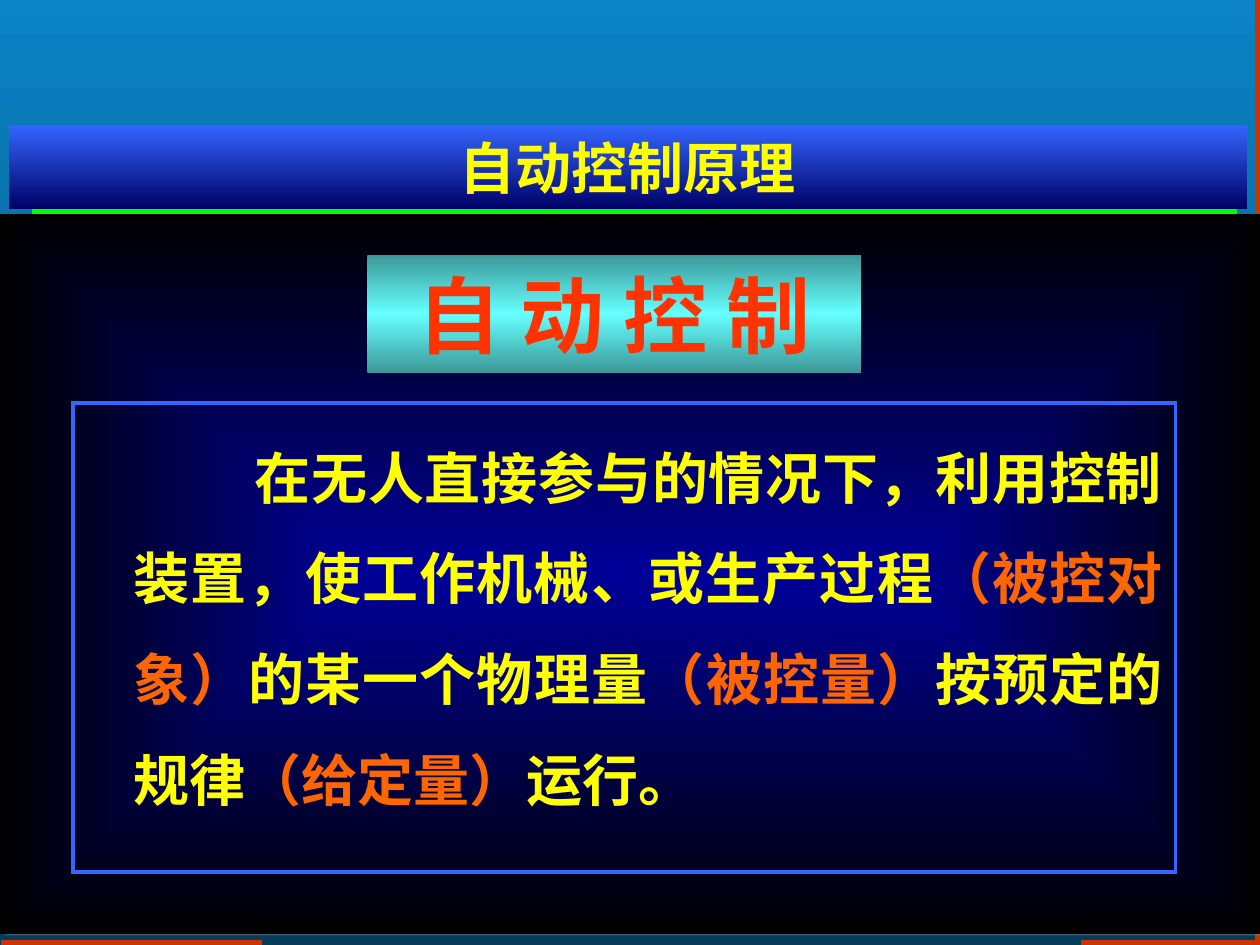
from lxml import etree
from pptx import Presentation
from pptx import util as u
from pptx.dml.color import RGBColor
from pptx.enum import shapes, text
from pptx.oxml.ns import qn

THEME = {
    "sky": ["0B83C5", "053C5A"], "night": ["000099", "000000"],
    "banner": ["3366FF", "000066"], "plate": ["3C9898", "66FFFF", "3C9898"],
    "edge": "CC3300", "rule": "00FF00", "frame": "3366FF", "shadow": "808080",
    "heading": "FF3300", "text": "FFFF00", "accent": "FF6600",
    "heading_size": u.Pt(48), "text_size": u.Pt(32),
    "latin": "Times New Roman", "cjk": "Noto Sans CJK JP",
}

presentation = Presentation()
presentation.slide_width, presentation.slide_height = u.Inches(10), u.Inches(7.5)
COLUMN = presentation.slide_width // 100
ROW = presentation.slide_height // 75
slide = presentation.slides.add_slide(presentation.slide_layouts[1])


def paint_gradient(fill, owner, colors, from_center=False):
    """Spread colours evenly, downwards or outwards from the centre."""
    fill.gradient()
    gradient = next(owner.iter(qn("a:gradFill")))
    for child in list(gradient):
        gradient.remove(child)
    stops = etree.SubElement(gradient, qn("a:gsLst"))
    for index, color in enumerate(colors):
        position = 100000 * index // (len(colors) - 1)
        stop = etree.SubElement(stops, qn("a:gs"), pos=str(position))
        etree.SubElement(stop, qn("a:srgbClr"), val=color)
    if from_center:
        path = etree.SubElement(gradient, qn("a:path"), path="rect")
        etree.SubElement(path, qn("a:fillToRect"), l="50000", t="50000", r="50000", b="50000")
    else:
        etree.SubElement(gradient, qn("a:lin"), ang="5400000", scaled="0")


def format_box(shape, box, anchor, alignment, size, font, color):
    """Place a text shape on the grid and set its single paragraph."""
    left, top, width, height = box
    shape.left, shape.top = int(left * COLUMN), int(top * ROW)
    shape.width, shape.height = int(width * COLUMN), int(height * ROW)
    frame = shape.text_frame
    frame.word_wrap = True
    frame.auto_size = text.MSO_AUTO_SIZE.NONE
    frame.vertical_anchor = anchor
    paragraph = frame.paragraphs[0]
    paragraph.alignment = alignment
    paragraph.space_before = u.Pt(0)
    paragraph.font.size, paragraph.font.name, paragraph.font.bold = size, font, True
    paragraph.font.color.rgb = RGBColor.from_string(color)


# Background
paint_gradient(slide.background.fill, slide.element, THEME["sky"])

# Edge lines and the green rule under the banner
for start_x, start_y, end_x, end_y, color, weight in [
    (20.8, 74.8, 0.1, 74.8, "edge", 3),
    (99.8, 75, 99.8, 0, "edge", 3),
    (99.6, 74.8, 85.8, 74.8, "edge", 3),
    (2.5, 16.7, 98.2, 16.7, "rule", 4.5),
]:
    line = slide.shapes.add_connector(
        shapes.MSO_CONNECTOR.STRAIGHT, int(start_x * COLUMN), int(start_y * ROW),
        int(end_x * COLUMN), int(end_y * ROW))
    line.line.color.rgb = RGBColor.from_string(THEME[color])
    line.line.width = u.Pt(weight)
    etree.SubElement(line.element.spPr, qn("a:effectLst"))

# Dark backdrop with a thin shadow
backdrop = slide.shapes.add_shape(
    shapes.MSO_SHAPE.RECTANGLE, 0, 17 * ROW, 100 * COLUMN, int(57.1 * ROW))
paint_gradient(backdrop.fill, backdrop.element, THEME["night"], from_center=True)
backdrop.line.fill.background()
backdrop.shadow.inherit = False
effects = backdrop.element.spPr.find(qn("a:effectLst"))
shadow = etree.SubElement(effects, qn("a:outerShdw"), blurRad="0",
                          dist=str(u.Pt(3.2)), dir=str(18 * 60000))
shadow_color = etree.SubElement(shadow, qn("a:srgbClr"), val=THEME["shadow"])
etree.SubElement(shadow_color, qn("a:alpha"), val="50000")

# Title plate and body frame sit in front of the backdrop
title, body = slide.placeholders
for placeholder in (title, body):
    backdrop.element.getparent().append(placeholder.element)

title.text_frame.text = "自 动 控 制"
format_box(title, (29.15, 20.2, 39.2, 9.4), text.MSO_ANCHOR.MIDDLE, text.PP_ALIGN.CENTER,
           THEME["heading_size"], THEME["latin"], THEME["heading"])
paint_gradient(title.fill, title.element, THEME["plate"])

# Definition, with the key terms in the accent colour
definition = body.text_frame.paragraphs[0]
properties = definition._p.get_or_add_pPr()
properties.set("marL", str(u.Inches(0.38)))
properties.set("indent", str(u.Inches(0.96)))
etree.SubElement(properties, qn("a:buNone"))
format_box(body, (5.8, 32, 87.5, 37.2), text.MSO_ANCHOR.TOP, text.PP_ALIGN.JUSTIFY,
           THEME["text_size"], THEME["cjk"], THEME["text"])
definition.line_spacing = 1.5
for words, color in [
    ("在无人直接参与的情况下，利用控制装置，使工作机械、或生产过程", "text"),
    ("（被控对象）", "accent"),
    ("的某一个物理量", "text"),
    ("（被控量）", "accent"),
    ("按预定的规律", "text"),
    ("（给定量）", "accent"),
    ("运行。", "text"),
]:
    run = definition.add_run()
    run.text = words
    run.font.color.rgb = RGBColor.from_string(THEME[color])
body.line.color.rgb = RGBColor.from_string(THEME["frame"])
body.line.width = u.Pt(2)
etree.SubElement(body.element.spPr.find(qn("a:ln")), qn("a:miter"), lim="800000")

# Course banner
banner = slide.shapes.add_shape(shapes.MSO_SHAPE.RECTANGLE, 0, 0, COLUMN, ROW)
banner.text_frame.text = "自动控制原理"
format_box(banner, (0.7, 9.9, 98.3, 6.7), text.MSO_ANCHOR.MIDDLE, text.PP_ALIGN.CENTER,
           THEME["text_size"], THEME["latin"], THEME["text"])
paint_gradient(banner.fill, banner.element, THEME["banner"])
banner.line.fill.background()
banner.shadow.inherit = False

presentation.save("out.pptx")
